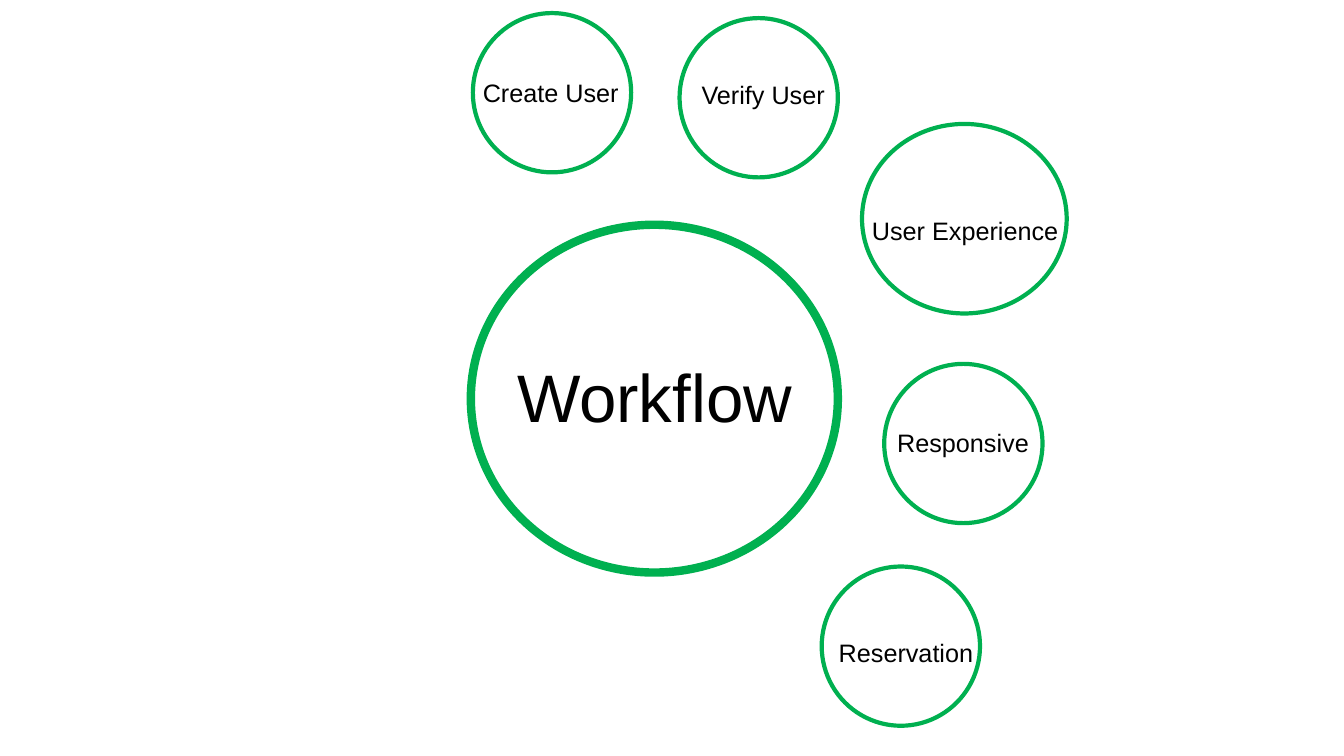
from pptx import Presentation, util as u
from pptx.dml.color import RGBColor
from pptx.enum import shapes, text

GREEN, BLACK = "00B050", "000000"
SMALL = (1.57, 1.58)

# Label, circle place, circle size, text box, line width, font size
STEPS = [
    ("Workflow", (4.67, 2.23), (3.64, 3.45), (5.03, 3.48, 3.21, 0.91), 6, 48),
    ("Verify User", (6.74, 0.18), SMALL, (6.86, 0.74, 1.44, 0.4), 3, 18),
    ("Create User", (4.69, 0.13), SMALL, (4.69, 0.72, 1.67, 0.4), 3, 18),
    ("Reservation", (8.15, 5.62), SMALL, (8.22, 6.27, 1.69, 0.4), 3, 18),
    ("User Experience", (8.55, 1.23), (2.03, 1.88), (8.55, 2.09, 2.13, 0.4), 3, 18),
    ("Responsive", (8.77, 3.61), SMALL, (8.8, 4.19, 1.67, 0.4), 3, 18),
]


def color(code):
    return RGBColor.from_string(code)


def inches(box):
    return [u.Inches(side) for side in box]


def style(item, **values):
    for name, value in values.items():
        setattr(item, name, value)


def add_ring(group, box, width):
    kind = shapes.MSO_SHAPE.FLOWCHART_CONNECTOR
    ring = group.shapes.add_shape(kind, *inches(box))
    ring.shadow.inherit = False
    ring.fill.background()
    ring.line.color.rgb = color(GREEN)
    ring.line.width = u.Pt(width)


def add_label(group, words, box, size):
    frame = group.shapes.add_textbox(*inches(box)).text_frame
    style(frame, word_wrap=True, auto_size=text.MSO_AUTO_SIZE.SHAPE_TO_FIT_TEXT)
    run = frame.paragraphs[0].add_run()
    run.text = words
    style(run.font, name="Arial", size=u.Pt(size))
    run.font.color.rgb = color(BLACK)


def main():
    deck = Presentation()
    style(deck, slide_width=u.Inches(13.33), slide_height=u.Inches(7.5))
    slide = deck.slides.add_slide(deck.slide_layouts[6])

    # Main circle and its steps, held in one group
    group = slide.shapes.add_group_shape()
    for words, place, extent, box, width, size in STEPS:
        add_ring(group, place + extent, width)
        add_label(group, words, box, size)

    deck.save("out.pptx")


if __name__ == "__main__":
    main()
